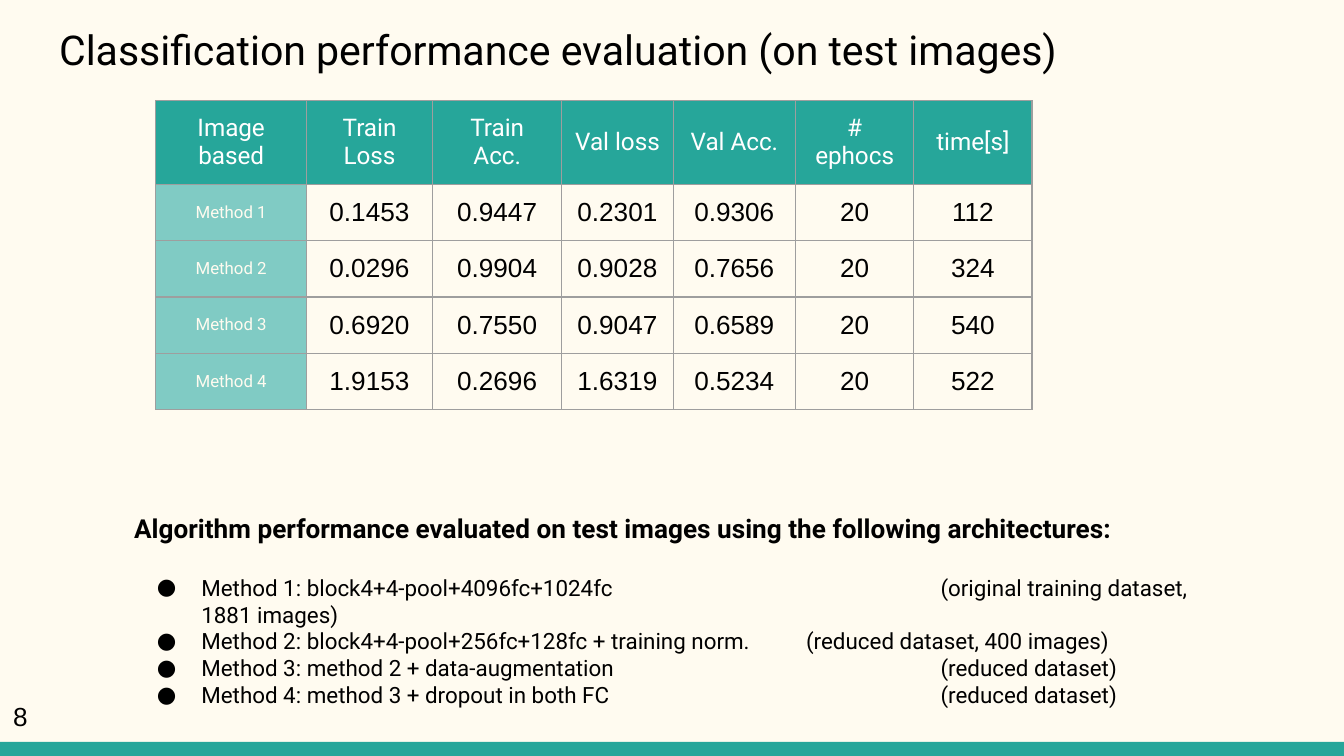
import pptx
import pptx.dml.color
import pptx.enum.shapes
import pptx.enum.text
import pptx.oxml
import pptx.oxml.ns
import pptx.util
from pptx.util import Inches

INK = {"page": "FFFBF0", "teal": "26A69A", "mint": "80CBC4",
       "line": "9E9E9E", "black": "000000", "white": "FFFFFF"}
ALIGN = pptx.enum.text.PP_ALIGN
ANCHOR = pptx.enum.text.MSO_ANCHOR
PAD = {"margin_left": Inches(0.1), "margin_right": Inches(0.1),
       "margin_top": Inches(0.1), "margin_bottom": Inches(0.1)}
FRAME = {**PAD, "word_wrap": True,
         "auto_size": pptx.enum.text.MSO_AUTO_SIZE.NONE}


def paint(fill, name):
    fill.solid()
    fill.fore_color.rgb = pptx.dml.color.RGBColor.from_string(INK[name])


def write(para, text, size, face="Roboto", ink="black", bold=False):
    run = para.add_run()
    run.text = text
    form = {"size": pptx.util.Pt(size), "name": face, "bold": bold}
    for key, val in form.items():
        setattr(run.font, key, val)
    paint(run.font.fill, ink)


# A 16:9 page
deck = pptx.Presentation()
deck.slide_width = Inches(10)
deck.slide_height = Inches(10 * 9 / 16)
slide = deck.slides.add_slide(deck.slide_layouts[5])
paint(slide.background.fill, "page")

# Bottom bar
bar = slide.shapes.add_shape(pptx.enum.shapes.MSO_SHAPE.RECTANGLE,
                             Inches(0), Inches(5.52), Inches(10), Inches(0.11))
paint(bar.fill, "teal")
bar.line.fill.background()
bar.shadow.inherit = False

# Title
title = slide.shapes.title
place = {"left": 0.34, "top": 0.08, "width": 8.76, "height": 0.91}
for key, val in place.items():
    setattr(title, key, Inches(val))
for key, val in {**FRAME, "vertical_anchor": ANCHOR.TOP}.items():
    setattr(title.text_frame, key, val)
head = title.text_frame.paragraphs[0]
head.alignment = ALIGN.LEFT
write(head, "Classification performance evaluation (on test images)", 22)

# Results table
data = [
    ["Image based", "Train Loss", "Train Acc.", "Val loss", "Val Acc.",
     "# ephocs", "time[s]"],
    ["Method 1", "0.1453", "0.9447", "0.2301", "0.9306", "20", "112"],
    ["Method 2", "0.0296", "0.9904", "0.9028", "0.7656", "20", "324"],
    ["Method 3", "0.6920", "0.7550", "0.9047", "0.6589", "20", "540"],
    ["Method 4", "1.9153", "0.2696", "1.6319", "0.5234", "20", "522"],
]
wide = [1.12, 0.94, 0.96, 0.83, 0.91, 0.88, 0.88]
high = [0.62] + [0.42] * 4
grid = slide.shapes.add_table(len(high), len(wide), Inches(1.16), Inches(0.75),
                              Inches(sum(wide)), Inches(sum(high))).table
grid.first_row = grid.horz_banding = False
for col, width in zip(grid.columns, wide):
    col.width = Inches(width)
for row, height in zip(grid.rows, high):
    row.height = Inches(height)

space = pptx.oxml.ns.nsdecls("a")
for r, line in enumerate(data):
    for c, text in enumerate(line):
        cell = grid.cell(r, c)
        for key, val in {**PAD, "vertical_anchor": ANCHOR.MIDDLE}.items():
            setattr(cell, key, val)
        para = cell.text_frame.paragraphs[0]
        para.alignment = ALIGN.CENTER
        if r == 0:
            paint(cell.fill, "teal")
            write(para, text, 13, ink="white")
        elif c == 0:
            paint(cell.fill, "mint")
            write(para, text, 9, ink="page")
        else:
            cell.fill.background()
            write(para, text, 14, face="Arial")
        props = cell._tc.get_or_add_tcPr()
        for i, side in enumerate(["lnL", "lnR", "lnT", "lnB"]):
            props.insert(i, pptx.oxml.parse_xml(
                f'<a:{side} {space} w="9525"><a:solidFill>'
                f'<a:srgbClr val="{INK["line"]}"/></a:solidFill></a:{side}>'))

# Page number
page = slide.shapes.add_textbox(Inches(0), Inches(5.11),
                                Inches(0.6), Inches(0.43)).text_frame
for key, val in {**FRAME, "vertical_anchor": ANCHOR.MIDDLE}.items():
    setattr(page, key, val)
write(page.paragraphs[0], "8", 14, face="Arial")

# Architecture notes
notes = slide.shapes.add_textbox(Inches(0.9), Inches(3.68),
                                 Inches(8.2), Inches(1.94)).text_frame
for key, val in FRAME.items():
    setattr(notes, key, val)
lead = notes.paragraphs[0]
lead.line_spacing = 1.15
write(lead, "Algorithm performance evaluated on test images using the "
      "following architectures:", 14, bold=True)
items = [
    "Method 1: block4+4-pool+4096fc+1024fc\t\t\t"
    "(original training dataset, 1881 images)",
    "Method 2: block4+4-pool+256fc+128fc + training norm.\t"
    "(reduced dataset, 400 images)",
    "Method 3: method 2 + data-augmentation\t\t\t(reduced dataset)",
    "Method 4: method 3 + dropout in both FC\t\t\t(reduced dataset)",
]
dent = {"marL": 0.5, "indent": -0.33, "defTabSz": 1}
marks = ['buSzPts {} val="1200"', 'buFont {} typeface="Roboto"',
         'buChar {} char="●"']
for i, text in enumerate(items):
    para = notes.add_paragraph()
    para.space_before = pptx.util.Pt(0 if i else 16)
    props = para._p.get_or_add_pPr()
    for key, val in dent.items():
        props.set(key, str(Inches(val)))
    for mark in marks:
        props.append(pptx.oxml.parse_xml(f"<a:{mark.format(space)}/>"))
    write(para, text, 12)

deck.save("out.pptx")
